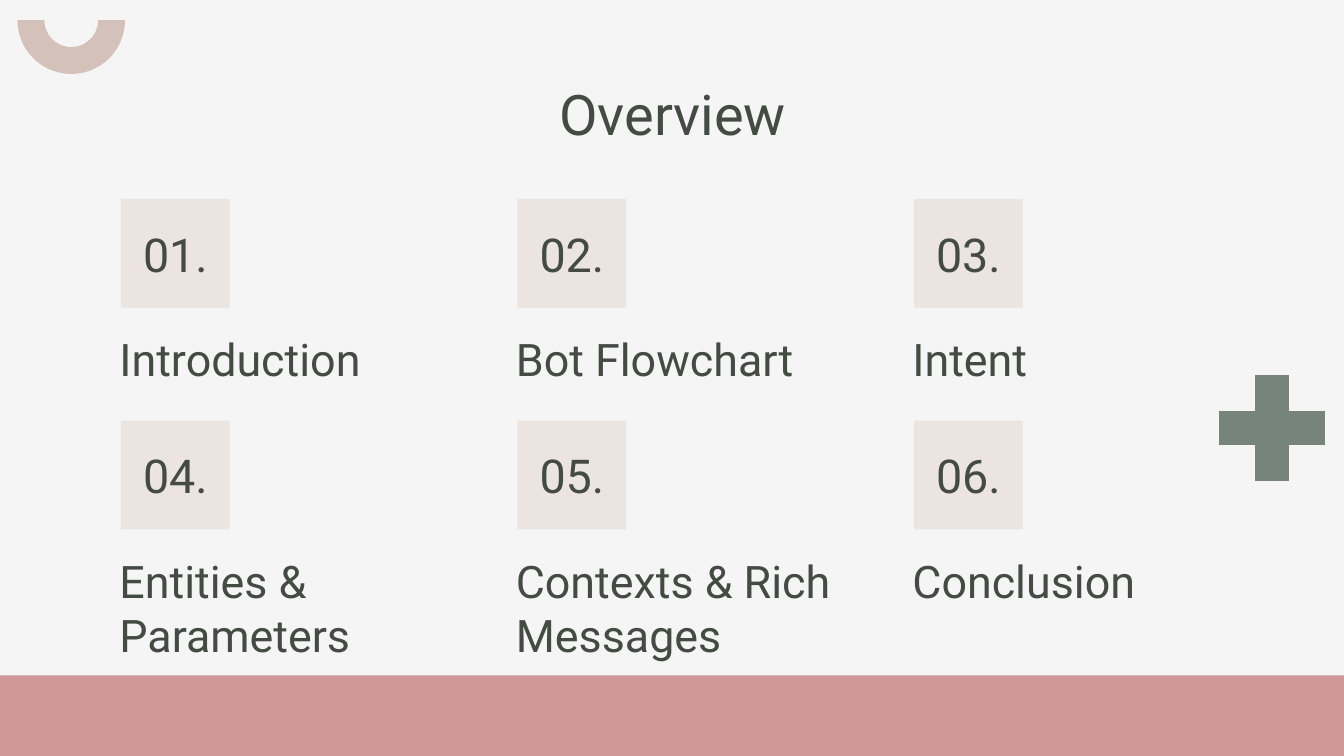
from dataclasses import dataclass

import pptx
import pptx.dml.color
import pptx.enum.shapes
import pptx.enum.text
import pptx.util
from pptx.util import Inches

SHAPE = pptx.enum.shapes.MSO_SHAPE
ALIGN = pptx.enum.text.PP_ALIGN
ANCHOR = pptx.enum.text.MSO_ANCHOR
FONT = "Roboto"
INK = "434B43"
SLIDE_WIDTH = 10
SLIDE_HEIGHT = SLIDE_WIDTH * 9 / 16
BAND_HEIGHT = 0.6
COLUMNS = 3
COL_STEP, ROW_STEP = 2.95, 1.65


@dataclass
class Box:
    left: float
    top: float
    width: float
    height: float

    def lengths(self) -> list:
        return [Inches(v) for v in (self.left, self.top, self.width, self.height)]


@dataclass
class Topic:
    title: str
    text_height: float = 0.54
    text_width: float = 2.52


TOPICS = [
    Topic("Introduction"),
    Topic("Bot Flowchart"),
    Topic("Intent"),
    Topic("Entities & Parameters", 0.9),
    Topic("Contexts & Rich Messages", 0.9, 2.64),
    Topic("Conclusion"),
]


def rgb(color: str) -> pptx.dml.color.RGBColor:
    return pptx.dml.color.RGBColor.from_string(color)


def add_shape(s, kind, box: Box, color: str, adjustments=(), rotation: float = 0):
    sp = s.shapes.add_shape(kind, *box.lengths())
    sp.shadow.inherit = False
    sp.fill.solid()
    sp.fill.fore_color.rgb = rgb(color)
    sp.line.fill.background()
    sp.rotation = rotation
    for i, value in enumerate(adjustments):
        sp.adjustments[i] = value
    return sp


def set_text(sp, text: str, size: float, align=ALIGN.LEFT, anchor=ANCHOR.TOP) -> None:
    tf = sp.text_frame
    tf.word_wrap = True
    tf.vertical_anchor = anchor
    tf.margin_left = tf.margin_right = Inches(0.1)
    tf.margin_top = tf.margin_bottom = Inches(0.1)
    p = tf.paragraphs[0]
    p.text = text
    p.alignment = align
    p.font.name = FONT
    p.font.size = pptx.util.Pt(size)
    p.font.color.rgb = rgb(INK)


def add_topic(s, index: int, topic: Topic) -> None:
    row, col = divmod(index, COLUMNS)
    x, y = col * COL_STEP, row * ROW_STEP
    tile = add_shape(s, SHAPE.RECTANGLE, Box(0.9 + x, 1.48 + y, 0.81, 0.81), "ECE4DF")
    set_text(tile, f"{index + 1:02}.", 25, ALIGN.CENTER, ANCHOR.MIDDLE)
    box = Box(0.79 + x, 2.37 + y, topic.text_width, topic.text_height)
    set_text(s.shapes.add_textbox(*box.lengths()), topic.title, 24)


def main() -> None:
    prs = pptx.Presentation()
    prs.slide_width, prs.slide_height = Inches(SLIDE_WIDTH), Inches(SLIDE_HEIGHT)
    s = prs.slides.add_slide(prs.slide_layouts[6])
    s.background.fill.solid()
    s.background.fill.fore_color.rgb = rgb("F5F5F5")

    band = Box(0, SLIDE_HEIGHT - BAND_HEIGHT, SLIDE_WIDTH, BAND_HEIGHT)
    add_shape(s, SHAPE.RECTANGLE, band, "D19898")
    add_shape(s, SHAPE.BLOCK_ARC, Box(0.13, -0.25, 0.8, 0.8), "D3C1BA", (108, 0, 0.25), 180)
    add_shape(s, SHAPE.MATH_PLUS, Box(8.93, 2.65, 1.07, 1.07), "77847B", (0.235,))

    title = s.shapes.add_textbox(*Box(0.79, 0.49, 8.43, 0.63).lengths())
    set_text(title, "Overview", 30, ALIGN.CENTER)
    for i, topic in enumerate(TOPICS):
        add_topic(s, i, topic)

    prs.save("out.pptx")


if __name__ == "__main__":
    main()
